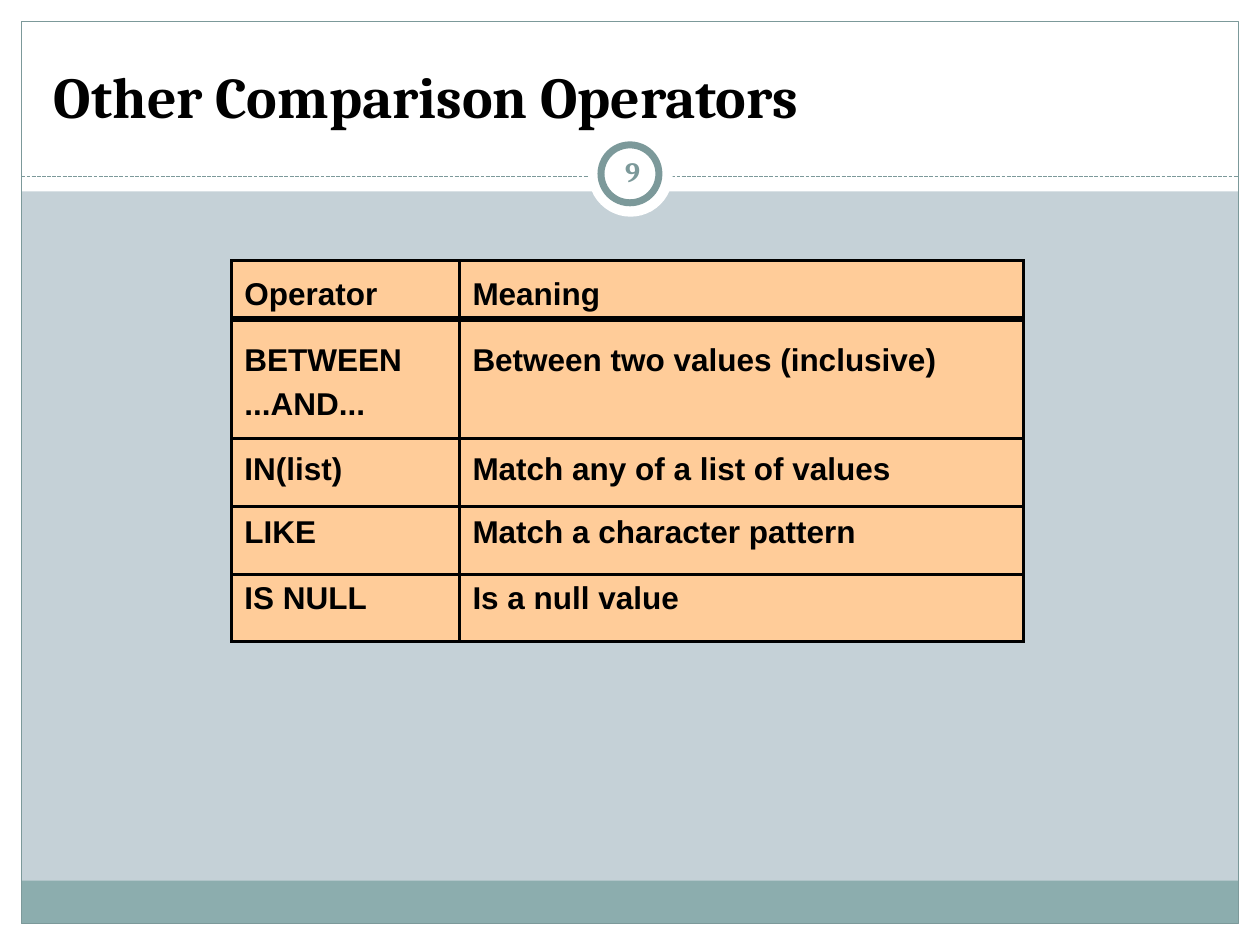
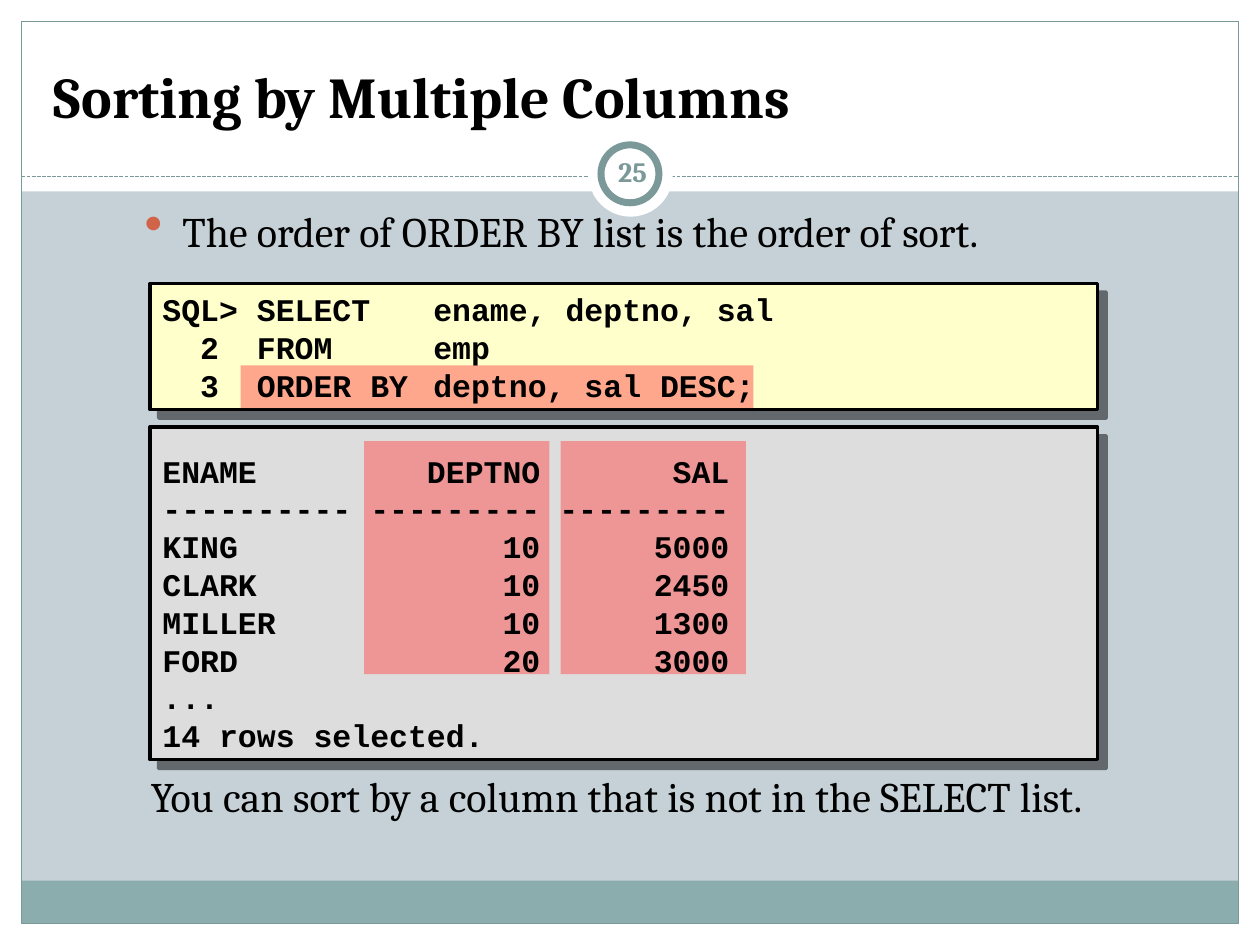
from lxml import etree
from pptx import Presentation
from pptx.dml.color import RGBColor
from pptx.enum.dml import MSO_LINE
from pptx.enum.shapes import MSO_CONNECTOR, MSO_SHAPE as SHAPE
from pptx.enum.text import MSO_ANCHOR as ANCHOR, PP_ALIGN as ALIGN
from pptx.oxml.ns import qn
from pptx.util import Emu, Inches, Pt

W, H = 10, 7.5
EDGE = 0.17
BACK, TEAL, BAND = "C5D1D7", "7C999A", "8CADAE"
WHITE, BLACK = "FFFFFF", "000000"
PEACH, YELLOW, GREY, RED, BULLET = "FFCC99", "FFFFCC", "DDDDDD", "FF5050", "D16349"
SERIF, SANS, MONO = "Cambria", "Arial", "Courier New"

OPERATORS = [
    ("Operator", "Meaning"),
    ("BETWEEN\n...AND...", "Between two values (inclusive)"),
    ("IN(list)", "Match any of a list of values"),
    ("LIKE", "Match a character pattern"),
    ("IS NULL", "Is a null value"),
]
TABLE_LEFT, TABLE_TOP = 1.84, 2.07
COL_WIDTHS = [1.81, 4.47]
ROW_HEIGHTS = [0.46, 0.95, 0.54, 0.54, 0.53]
ROW_INSETS = [0.13, 0.19, 0.11, 0.07, 0.05]

SORT_RULE = "The order of ORDER BY list is the order of sort."
SORT_NOTE = "You can sort by a column that is not in the SELECT list."
QUERY = [
    "SQL> SELECT\t ename, deptno, sal",
    "  2  FROM \t emp",
    "  3  ORDER BY\t deptno, sal DESC;",
]
RESULT = [
    "ENAME         DEPTNO       SAL",
    "---------- --------- ---------",
    "KING              10      5000",
    "CLARK             10      2450",
    "MILLER            10      1300",
    "FORD              20      3000",
    "...",
    "14 rows selected.",
]
PANELS = [(2.25, 1, YELLOW), (3.39, 2.64, GREY)]
LISTINGS = [(2.24, 1.03, QUERY), (3.07, 3.43, RESULT)]
HIGHLIGHTS = [(1.91, 2.9, 4.07, 0.34), (2.89, 3.5, 1.47, 1.85), (4.45, 3.5, 1.47, 1.85)]


def rgb(color):
    return RGBColor.from_string(color)


def sub(parent, tag, **attrs):
    """Append a drawing element such as a:tab."""
    return etree.SubElement(parent, qn(tag), attrs)


def add_shape(s, box, fill=None, line=None, width=0.75, kind=SHAPE.RECTANGLE):
    sp = s.shapes.add_shape(kind, *map(Inches, box))
    sp.shadow.inherit = False
    if fill:
        sp.fill.solid()
        sp.fill.fore_color.rgb = rgb(fill)
    else:
        sp.fill.background()
    if line:
        sp.line.color.rgb = rgb(line)
        sp.line.width = Pt(width)
    else:
        sp.line.fill.background()
    return sp


def set_font(p, name, size, color=BLACK, bold=False):
    f = p.font
    f.name, f.size, f.bold = name, Pt(size), bold
    f.color.rgb = rgb(color)


def add_text(s, box, lines, font, size, color=BLACK, bold=False,
             anchor=ANCHOR.TOP, align=ALIGN.LEFT, side=0.1, tab=None):
    sp = s.shapes.add_textbox(*map(Inches, box))
    tf = sp.text_frame
    tf.word_wrap = True
    tf.vertical_anchor = anchor
    tf.margin_left = tf.margin_right = Inches(side)
    for i, line in enumerate(lines):
        p = tf.paragraphs[0] if i == 0 else tf.add_paragraph()
        p.add_run().text = line
        p.alignment = align
        if tab:
            tabs = sub(p._p.get_or_add_pPr(), "a:tabLst")
            sub(tabs, "a:tab", pos=str(Inches(tab)), algn="l")
        set_font(p, font, size, color, bold)
    return tf


def add_bullet(p, margin, hang):
    pr = p._p.get_or_add_pPr()
    pr.set("marL", str(Inches(margin)))
    pr.set("indent", str(-Inches(hang)))
    items = [etree.Element(qn(t)) for t in ("a:buClr", "a:buSzPct", "a:buChar")]
    sub(items[0], "a:srgbClr", val=BULLET)
    items[1].set("val", "125000")
    items[2].set("char", "•")
    for i, item in enumerate(items):
        pr.insert(i, item)


def add_drop_shadow(sp):
    effects = sp._element.spPr.find(qn("a:effectLst"))
    shadow = sub(effects, "a:outerShdw", blurRad="0", dist=str(Pt(7.1)),
                 dir="2700000", algn="ctr", rotWithShape="0")
    sub(sub(shadow, "a:srgbClr", val=BLACK), "a:alpha", val="50000")


def add_base(prs, title, number):
    """Blank slide with the frame, bands, title and numbered ring."""
    s = prs.slides.add_slide(prs.slide_layouts[6])
    s.background.fill.solid()
    s.background.fill.fore_color.rgb = rgb(BACK)
    inner = W - 2 * EDGE
    for box in [(0, H - EDGE, W, EDGE), (0, 0, W, 1.52),
                (0, 0, EDGE, H), (W - EDGE, 0, EDGE, H)]:
        add_shape(s, box, WHITE)
    add_shape(s, (EDGE, 6.99, inner, 0.34), BAND)
    add_shape(s, (EDGE, EDGE, inner, H - 2 * EDGE), line=TEAL)
    rule = s.shapes.add_connector(MSO_CONNECTOR.STRAIGHT, Inches(EDGE), Inches(1.4),
                                  Inches(W - EDGE), Inches(1.4))
    rule.line.color.rgb = rgb(TEAL)
    rule.line.width = Pt(0.75)
    rule.line.dash_style = MSO_LINE.SQUARE_DOT
    sub(rule._element.spPr, "a:effectLst")
    add_shape(s, (4.67, 1.05, 0.67, 0.67), WHITE, kind=SHAPE.OVAL)
    add_shape(s, (4.77, 1.15, 0.46, 0.46), WHITE, TEAL, 4, SHAPE.OVAL)
    add_text(s, (0.33, 0.25, 9.33, 0.83), [title], SERIF, 33, bold=True,
             anchor=ANCHOR.BOTTOM)
    add_text(s, (4.77, 1.12, 0.5, 0.48), [str(number)], SERIF, 16, TEAL, True,
             ANCHOR.MIDDLE, ALIGN.CENTER, 0.05)
    return s


def set_borders(cell, **widths):
    """Draw black cell borders; the keys are L, R, T, B and the values points."""
    pr = cell._tc.get_or_add_tcPr()
    for i, (side, width) in enumerate(widths.items()):
        ln = etree.Element(qn("a:ln" + side), w=str(Pt(width)))
        sub(sub(ln, "a:solidFill"), "a:srgbClr", val=BLACK)
        pr.insert(i, ln)


def add_operator_table(s):
    frame = s.shapes.add_table(len(OPERATORS), len(COL_WIDTHS), Inches(TABLE_LEFT),
                               Inches(TABLE_TOP), Inches(sum(COL_WIDTHS)),
                               Inches(sum(ROW_HEIGHTS)))
    table = frame.table
    for col, width in zip(table.columns, COL_WIDTHS):
        col.width = Inches(width)
    for r, texts in enumerate(OPERATORS):
        table.rows[r].height = Inches(ROW_HEIGHTS[r])
        for c, text in enumerate(texts):
            cell = table.cell(r, c)
            cell.fill.solid()
            cell.fill.fore_color.rgb = rgb(PEACH)
            cell.margin_top, cell.margin_bottom = Inches(ROW_INSETS[r]), Emu(0)
            cell.text_frame.text = text
            for i, p in enumerate(cell.text_frame.paragraphs):
                if i:
                    p.space_before = Pt(5)
                set_font(p, SANS, 18, bold=True)
            set_borders(cell, L=2, R=2, T=4 if r == 1 else 2, B=4 if r == 0 else 2)


def add_sorting(s):
    for top, height, fill in PANELS:
        add_drop_shadow(add_shape(s, (1.19, top, 7.52, height), fill, BLACK, 2))
    tf = add_text(s, (0.75, 1.58, 8.57, 0.6), [SORT_RULE], SERIF, 24)
    add_bullet(tf.paragraphs[0], 0.6, 0.3)
    add_text(s, (1.1, 6.07, 8.2, 0.6), [SORT_NOTE], SERIF, 24)
    for box in HIGHLIGHTS:
        sp = add_shape(s, box, RED)
        color = sp._element.spPr.find(qn("a:solidFill")).find(qn("a:srgbClr"))
        sub(color, "a:alpha", val="50000")
    for top, height, lines in LISTINGS:
        add_text(s, (1.19, top, 7.55, height), lines, MONO, 18, bold=True,
                 anchor=ANCHOR.MIDDLE, tab=2)


def main():
    prs = Presentation()
    prs.slide_width, prs.slide_height = Inches(W), Inches(H)
    add_operator_table(add_base(prs, "Other Comparison Operators", 9))
    add_sorting(add_base(prs, "Sorting by Multiple Columns", 25))
    prs.save("out.pptx")


if __name__ == "__main__":
    main()
